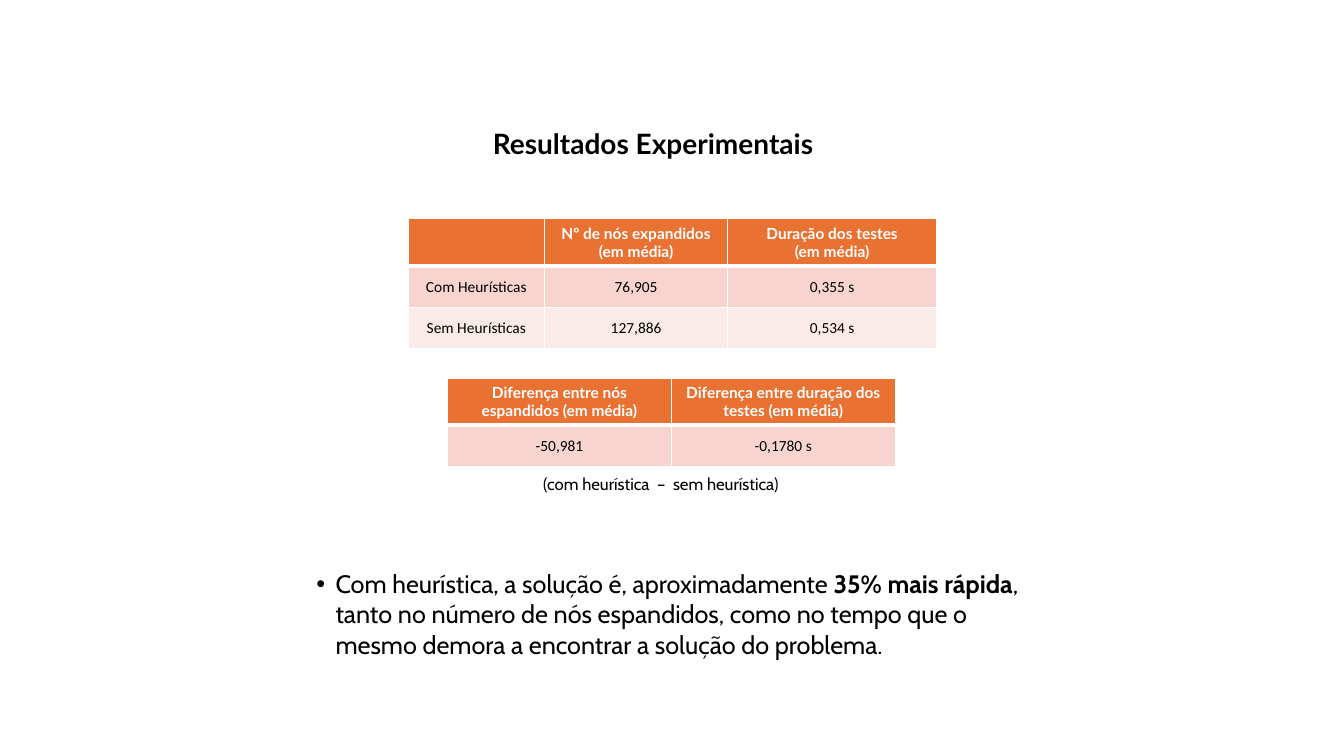
from lxml import etree
from pptx import Presentation
from pptx.dml.color import RGBColor
from pptx.enum.text import MSO_ANCHOR, PP_ALIGN
from pptx.oxml.ns import qn
from pptx.util import Inches, Pt

WIDTH, HEIGHT = Inches(13.33), Inches(7.5)
CENTER, JUSTIFY = PP_ALIGN.CENTER, PP_ALIGN.JUSTIFY
MIDDLE = MSO_ANCHOR.MIDDLE
COLORS = {"header": "E97132", "odd": "F7D5CE", "even": "FBEBE8", "text": "000000", "white": "FFFFFF"}
HEADER_ROW, BODY_ROW = 6.13, 5.47
THIN, THICK = 1, 3


def across(share):
    """Turn a percentage of the slide width into a length."""
    return int(WIDTH * share / 100)


def down(share):
    """Turn a percentage of the slide height into a length."""
    return int(HEIGHT * share / 100)


def add_span(para, text, font="Cabin", size=18, color="text", bold=False):
    """Add a formatted run to a paragraph."""
    span = para.add_run()
    span.text = text
    span.font.name = font
    span.font.size = Pt(size)
    span.font.bold = bold
    span.font.color.rgb = RGBColor.from_string(COLORS[color])


def add_text(page, left, top, width, height, align=None):
    """Add a wrapping text box and return its paragraph."""
    box = page.shapes.add_textbox(across(left), down(top), across(width), down(height))
    box.text_frame.word_wrap = True
    para = box.text_frame.paragraphs[0]
    para.alignment = align
    return para


def add_bullet(para, indent):
    """Give a paragraph a hanging bullet."""
    properties = para._p.get_or_add_pPr()
    properties.set("marL", str(indent))
    properties.set("indent", str(-indent))
    etree.SubElement(properties, qn("a:buFont"), typeface="Arial")
    etree.SubElement(properties, qn("a:buChar"), char="•")


def set_borders(cell, top, bottom):
    """Draw white borders around a cell."""
    properties = cell._tc.get_or_add_tcPr()
    widths = {"a:lnL": THIN, "a:lnR": THIN, "a:lnT": top, "a:lnB": bottom}
    for position, (tag, width) in enumerate(widths.items()):
        line = etree.Element(qn(tag), w=str(Pt(width)))
        fill = etree.SubElement(line, qn("a:solidFill"))
        etree.SubElement(fill, qn("a:srgbClr"), val=COLORS["white"])
        properties.insert(position, line)


def fill_cell(cell, text, row):
    """Format a header or body cell and write its lines."""
    header = row == 0
    fill = "header" if header else "odd" if row % 2 else "even"
    cell.fill.solid()
    cell.fill.fore_color.rgb = RGBColor.from_string(COLORS[fill])
    cell.vertical_anchor = MIDDLE
    if not header:
        cell.margin_left = cell.margin_right = cell.margin_top = Inches(0.01)
        cell.margin_bottom = 0
    set_borders(cell, THICK if row == 1 else THIN, THICK if header else THIN)
    style = {"font": "Lato", "color": "white", "bold": True} if header else {"font": "Calibri"}
    for number, line in enumerate(text.split("\n")):
        frame = cell.text_frame
        para = frame.add_paragraph() if number else frame.paragraphs[0]
        para.alignment = CENTER
        add_span(para, line, size=11, **style)


def add_results(page, left, top, columns, rows):
    """Add a table with one header row."""
    heights = [HEADER_ROW] + [BODY_ROW] * (len(rows) - 1)
    table = page.shapes.add_table(len(rows), len(columns), across(left), down(top),
                                  across(sum(columns)), down(sum(heights))).table
    for column, width in zip(table.columns, columns):
        column.width = across(width)
    for row, (height, texts) in enumerate(zip(heights, rows)):
        table.rows[row].height = down(height)
        for column, text in enumerate(texts):
            fill_cell(table.cell(row, column), text, row)


def main():
    """Build the slide with the experimental results."""
    deck = Presentation()
    deck.slide_width, deck.slide_height = WIDTH, HEIGHT
    page = deck.slides.add_slide(deck.slide_layouts[6])

    title = add_text(page, 35.93, 16.13, 28.13, 5.87, align=JUSTIFY)
    add_span(title, "Resultados Experimentais", font="Lato", size=20, bold=True)

    add_results(page, 30.38, 28.93, [10.13, 13.65, 15.53], [
        ["", "Nº de nós expandidos\n(em média)", "Duração dos testes\n(em média)"],
        ["Com Heurísticas", "76,905", "0,355 s"],
        ["Sem Heurísticas", "127,886", "0,534 s"],
    ])
    add_results(page, 33.31, 50, [16.65] * 2, [
        ["Diferença entre nós espandidos (em média)", "Diferença entre duração dos testes (em média)"],
        ["-50,981", "-0,1780 s"],
    ])

    conclusion = add_text(page, 22.8, 74.53, 54.39, 13.47)
    add_bullet(conclusion, Inches(0.19))
    add_span(conclusion, "Com heurística, a solução é, aproximadamente ")
    add_span(conclusion, "35% mais rápida", bold=True)
    add_span(conclusion, ", tanto no número de nós espandidos, como no tempo que o mesmo "
                         "demora a encontrar a solução do problema.")

    caption = add_text(page, 39.68, 62, 20.7, 4)
    add_span(caption, "(com heurística  –  sem heurística)", size=12)

    deck.save("out.pptx")


if __name__ == "__main__":
    main()
